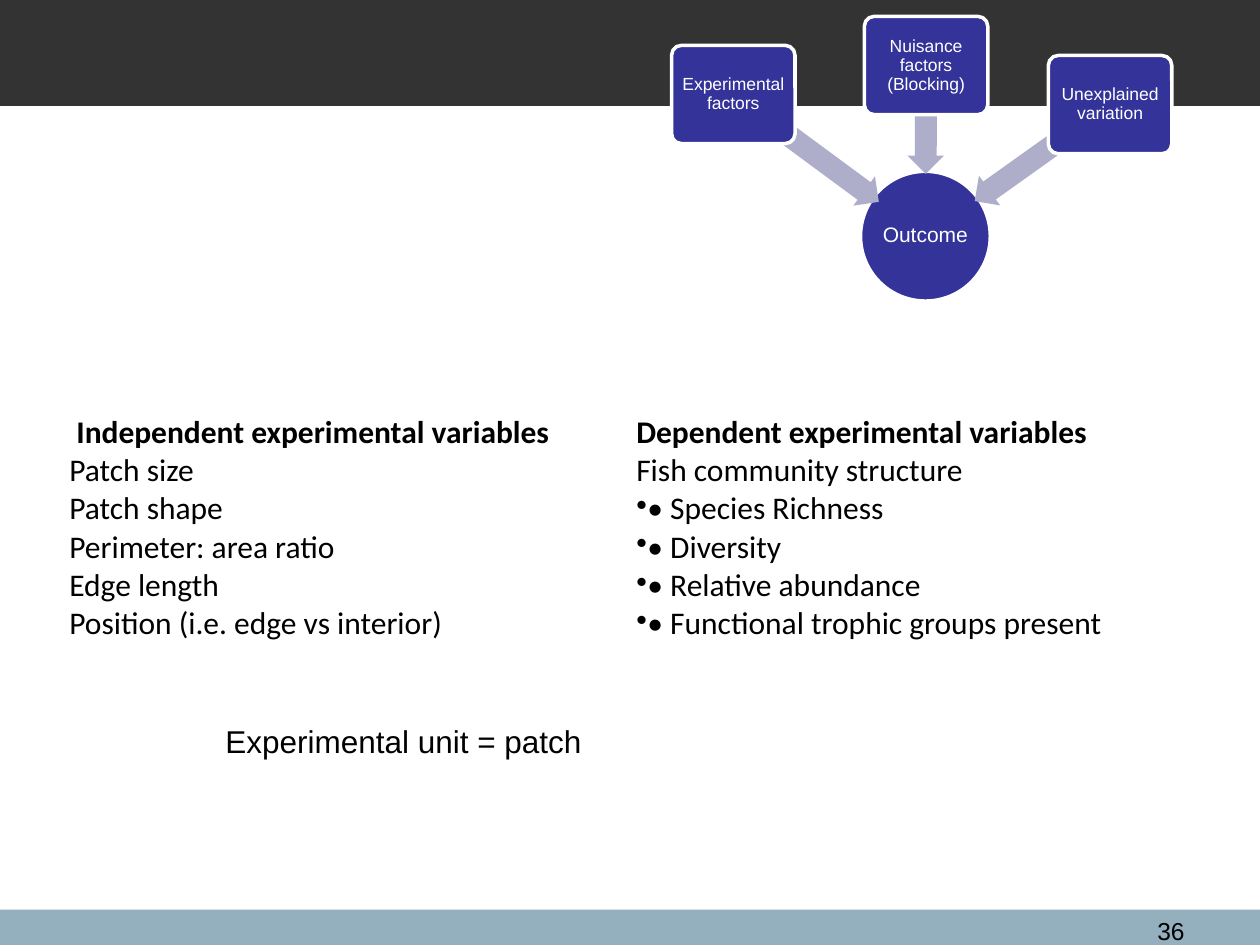
from dataclasses import dataclass
from math import atan2, cos, degrees, sin

from lxml.etree import SubElement
from pptx import Presentation
from pptx.dml.color import RGBColor
from pptx.enum.shapes import MSO_SHAPE as Shape
from pptx.enum.text import MSO_ANCHOR as Anchor, PP_ALIGN as Align
from pptx.oxml.ns import qn
from pptx.util import Inches, Pt

COLUMNS, ROWS = 100, 75  # square grid units of a tenth of an inch
UNIT = Inches(0.1)


@dataclass(frozen=True)
class Theme:
    band: str = "333333"
    footer: str = "94B0BE"
    node: str = "333399"
    arrow: str = "AEAECA"
    light: str = "FFFFFF"
    text: str = "000000"
    font: str = "Arial"
    table_font: str = "Calibri"
    body_size: int = 18
    number_size: int = 14
    outcome_size: int = 12
    factor_size: int = 10


THEME = Theme()


@dataclass(frozen=True)
class Box:
    left: float
    top: float
    width: float
    height: float

    def inner(self, left, top, width, height):
        return Box(self.left + left, self.top + top, width, height)

    @property
    def centre(self):
        return self.left + self.width / 2, self.top + self.height / 2

    @property
    def emu(self):
        return [round(value * UNIT) for value in
                (self.left, self.top, self.width, self.height)]


@dataclass(frozen=True)
class Factor:
    label: str
    left: float
    top: float
    arrow_length: float
    tip_distance: float  # from the centre of the outcome


FACTORS = (
    Factor("Experimental factors", 0, 2.3, 15.7, 4.6),
    Factor("Nuisance factors (Blocking)", 15.3, 0, 7.9, 4.95),
    Factor("Unexplained variation", 29.9, 3.1, 12.1, 4.8),
)
INDEPENDENT = ("Patch size", "Patch shape", "Perimeter: area ratio",
               "Edge length", "Position (i.e. edge vs interior)")
DEPENDENT = ("Fish community structure", "• Species Richness", "• Diversity",
             "• Relative abundance", "• Functional trophic groups present")


def add_run(paragraph, text, size, color=THEME.text, font=THEME.font, bold=False):
    run = paragraph.add_run()
    run.text = text
    run.font.size = Pt(size)
    run.font.name = font
    run.font.bold = bold
    run.font.color.rgb = RGBColor.from_string(color)


def add_filled(slide, kind, box, fill, outline=None):
    shape = slide.shapes.add_shape(kind, *box.emu)
    shape.shadow.inherit = False
    shape.fill.solid()
    shape.fill.fore_color.rgb = RGBColor.from_string(fill)
    if outline:
        shape.line.color.rgb = RGBColor.from_string(outline)
        shape.line.width = Pt(2)
    else:
        shape.line.fill.background()
    return shape


def add_label(slide, box, text, size, align=Align.LEFT):
    frame = slide.shapes.add_textbox(*box.emu).text_frame
    frame.word_wrap = True
    frame.paragraphs[0].alignment = align
    add_run(frame.paragraphs[0], text, size)


def add_node(slide, kind, box, text, size, inset):
    node = add_filled(slide, kind, box, THEME.node, THEME.light)
    frame = node.text_frame
    frame.word_wrap = True
    frame.vertical_anchor = Anchor.MIDDLE
    frame.margin_left = frame.margin_right = Inches(inset)
    frame.margin_top = frame.margin_bottom = Inches(inset)
    paragraph = frame.paragraphs[0]
    paragraph.alignment = Align.CENTER
    paragraph.line_spacing = 0.9
    add_run(paragraph, text, size, THEME.light)
    return node


def add_arrow(slide, source, target, factor):
    """Point an arrow along the line between the centres of two boxes."""
    (start_x, start_y), (end_x, end_y) = source.centre, target.centre
    angle = atan2(end_y - start_y, end_x - start_x)
    reach = factor.tip_distance + factor.arrow_length / 2
    thickness = 2.9
    box = Box(end_x - reach * cos(angle) - factor.arrow_length / 2,
              end_y - reach * sin(angle) - thickness / 2,
              factor.arrow_length, thickness)
    arrow = add_filled(slide, Shape.LEFT_ARROW, box, THEME.arrow)
    arrow.adjustments[0] = 0.6
    arrow.adjustments[1] = 0.5
    arrow.rotation = degrees(angle) + 180


def add_bands(slide, page):
    add_filled(slide, Shape.RECTANGLE,
               page.inner(0, 72.2, page.width, 2.8), THEME.footer)
    add_filled(slide, Shape.RECTANGLE,
               page.inner(0, 0, page.width, 8.4), THEME.band)
    add_label(slide, page.inner(88.6, 72.2, 6.4, 2.4), "36",
              THEME.number_size, Align.RIGHT)


def add_diagram(slide, region):
    outcome = region.inner(15, 12.3, 10.3, 10.3)
    add_node(slide, Shape.OVAL, outcome, "Outcome", THEME.outcome_size, 0.01)
    for factor in FACTORS:
        box = region.inner(factor.left, factor.top, 9.8, 7.8)
        add_arrow(slide, box, outcome, factor)
        node = add_node(slide, Shape.ROUNDED_RECTANGLE, box, factor.label,
                        THEME.factor_size, 0.02)
        node.adjustments[0] = 0.1


def add_bullet(paragraph):
    properties = paragraph._p.get_or_add_pPr()
    properties.set("marL", "0")
    properties.set("indent", "0")
    SubElement(properties, qn("a:buChar")).set("char", "•")


def fill_cell(cell, lines, bold=False):
    cell.fill.background()
    cell.margin_left = cell.margin_right = Inches(0.05)
    cell.margin_top = cell.margin_bottom = 0
    frame = cell.text_frame
    for index, line in enumerate(lines):
        paragraph = frame.add_paragraph() if index else frame.paragraphs[0]
        if line.startswith("•"):
            add_bullet(paragraph)
        add_run(paragraph, line, THEME.body_size,
                font=THEME.table_font, bold=bold)


def add_variables(slide, region):
    table = slide.shapes.add_table(2, 2, *region.emu).table
    table.first_row = table.horz_banding = False
    header_height = region.height / 8
    table.rows[0].height = round(header_height * UNIT)
    table.rows[1].height = round((region.height - header_height) * UNIT)
    columns = ((" Independent experimental variables", INDEPENDENT),
               ("Dependent experimental variables", DEPENDENT))
    for index, (heading, lines) in enumerate(columns):
        fill_cell(table.cell(0, index), [heading], bold=True)
        fill_cell(table.cell(1, index), lines)


def main():
    presentation = Presentation()
    presentation.slide_width = COLUMNS * UNIT
    presentation.slide_height = ROWS * UNIT
    slide = presentation.slides.add_slide(presentation.slide_layouts[6])
    page = Box(0, 0, COLUMNS, ROWS)
    add_bands(slide, page)
    add_variables(slide, page.inner(5, 32.8, 90, 24))
    add_diagram(slide, page.inner(53.3, 1.3, 39.7, 22.6))
    add_label(slide, page.inner(16.9, 56.8, 61.4, 4),
              "Experimental unit = patch", THEME.body_size)
    presentation.save("out.pptx")


if __name__ == "__main__":
    main()
